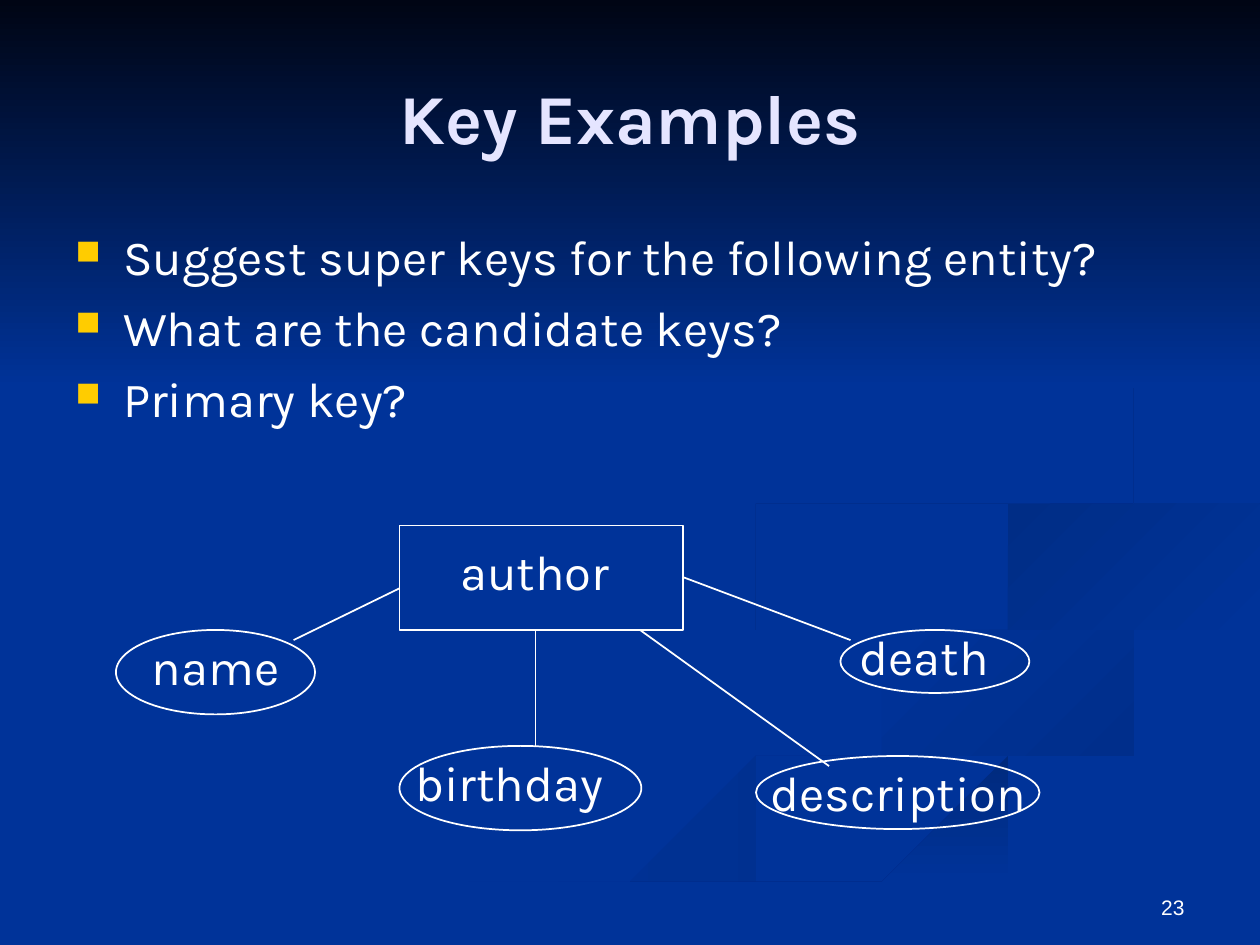
"""Build the Key Examples slide with its entity diagram."""
from typing import NamedTuple

from lxml import etree
from pptx import Presentation
from pptx.dml.color import RGBColor
from pptx.enum.shapes import MSO_CONNECTOR, MSO_SHAPE
from pptx.enum.text import MSO_ANCHOR, PP_ALIGN
from pptx.oxml.ns import qn
from pptx.util import Inches, Pt

RECTANGLE, ELLIPSE = MSO_SHAPE.RECTANGLE, MSO_SHAPE.OVAL
STRAIGHT = MSO_CONNECTOR.STRAIGHT
LEFT, CENTER, RIGHT = PP_ALIGN.LEFT, PP_ALIGN.CENTER, PP_ALIGN.RIGHT
TOP, MIDDLE, BOTTOM = MSO_ANCHOR.TOP, MSO_ANCHOR.MIDDLE, MSO_ANCHOR.BOTTOM
BLUE, WHITE, LAVENDER, GOLD = "003399", "FFFFFF", "E5E5FF", "FFCC00"
CURVE_STEPS = 6


class Box(NamedTuple):
    """Left, top, width and height in inches."""
    left: float
    top: float
    width: float
    height: float


class Node(NamedTuple):
    """An outlined diagram node and the box of its label."""
    label: str
    kind: MSO_SHAPE
    outline: Box
    label_box: Box


class Link(NamedTuple):
    """A line between two points in inches."""
    start: tuple[float, float]
    end: tuple[float, float]


class Ribbon(NamedTuple):
    """Gradient and the two edges of a ribbon, both from its first tip."""
    first: str
    last: str
    angle: int
    outer: list[tuple[float, float]]
    inner: list[tuple[float, float]]


RIBBONS = [
    Ribbon(BLUE, "002E8B", 0,
           [(5.75, 4.59), (6.14, 4.96), (7.31, 5.33), (8, 5.81), (6.76, 6.34),
            (4.99, 6.87), (3.61, 7.49)],
           [(5.75, 4.59), (5.81, 4.83), (6.97, 5.25), (7.86, 5.66), (6.84, 6.13),
            (4.58, 6.74), (3, 7.49)]),
    Ribbon(BLUE, "002E8B", 45,
           [(7.24, 4.64), (7.58, 4.98), (8.88, 5.35), (9.43, 5.7), (8.94, 6.05)],
           [(7.24, 4.64), (7.46, 5), (8.54, 5.39), (9.18, 5.81), (8.94, 6.05)]),
    Ribbon("002A7D", BLUE, 90,
           [(9.98, 5.81), (9.36, 6.02), (7.64, 6.47), (6.3, 6.93), (5.03, 7.49)],
           [(9.98, 6.09), (8.61, 6.4), (7.22, 6.82), (6.14, 7.26), (5.71, 7.49)]),
    Ribbon("002D86", BLUE, 45,
           [(9.98, 4.02), (8.65, 4.24), (7.81, 4.6), (8.26, 4.96)],
           [(9.98, 4.2), (8.78, 4.39), (8.05, 4.72), (8.26, 4.96)]),
    Ribbon("002B82", BLUE, 45,
           [(7.62, 2.33), (8.54, 2.83), (8.94, 3.44), (8.41, 3.96), (6.83, 4.3),
            (5.94, 4.65), (6.22, 5)],
           [(7.62, 2.33), (8.46, 2.79), (8.89, 3.35), (8.3, 3.82), (6.49, 4.2),
            (5.77, 4.62), (6.22, 5)]),
]
QUESTIONS = ["Suggest super keys for the following entity?",
             "What are the candidate keys?", "Primary key?"]
NODES = [
    Node("author", RECTANGLE, Box(3.17, 4.17, 2.25, 0.83), Box(3.33, 4.25, 1.83, 0.57)),
    Node("name", ELLIPSE, Box(0.92, 5, 1.58, 0.67), Box(1, 5, 1.42, 0.57)),
    Node("birthday", ELLIPSE, Box(3.17, 5.92, 1.92, 0.67), Box(3.08, 5.92, 1.92, 0.57)),
    Node("death", ELLIPSE, Box(6.67, 5, 1.5, 0.5), Box(6.25, 4.92, 2.17, 0.57)),
    Node("description", ELLIPSE, Box(6, 6, 2.25, 0.58), Box(5.67, 6, 2.92, 0.57)),
]
LINKS = [Link((3.17, 4.67), (2.33, 5.08)), Link((4.25, 5), (4.25, 5.92)),
         Link((5.08, 5), (6.58, 6.08)), Link((5.42, 4.58), (6.75, 5.08))]


def color(value: str) -> RGBColor:
    """Turn a hex string into a colour."""
    return RGBColor.from_string(value)


def place(box: Box) -> list[int]:
    """Convert a box to slide lengths."""
    return [Inches(length) for length in box]


def fill_gradient(shape, first: str, last: str, angle: int) -> None:
    """Fill a borderless shape with a two-stop gradient, angle clockwise."""
    shape.shadow.inherit = False
    shape.line.fill.background()
    shape.fill.gradient()
    shape.fill.gradient_angle = -angle % 360
    for stop, value in zip(shape.fill.gradient_stops, (first, last)):
        stop.color.rgb = color(value)


def blend(a: float, b: float, c: float, d: float, t: float) -> float:
    """Interpolate from b to c on a Catmull-Rom curve."""
    return b + t / 2 * (c - a + t * (2 * a - 5 * b + 4 * c - d
                                    + t * (3 * (b - c) + d - a)))


def smooth(edge: list[tuple[float, float]]) -> list[tuple[float, float]]:
    """Return a smooth curve through the points of an edge."""
    padded = [edge[0], *edge, edge[-1]]
    curve = [tuple(blend(*axis, step / CURVE_STEPS)
                   for axis in zip(*padded[index:index + 4]))
             for index in range(len(edge) - 1) for step in range(CURVE_STEPS)]
    return [*curve, edge[-1]]


def add_ribbon(slide, ribbon: Ribbon) -> None:
    """Draw one background ribbon."""
    outline = smooth(ribbon.outer) + smooth(ribbon.inner)[::-1]
    builder = slide.shapes.build_freeform(*outline[0], scale=Inches(1))
    builder.add_line_segments(outline[1:], close=True)
    fill_gradient(builder.convert_to_shape(), ribbon.first, ribbon.last, ribbon.angle)


def add_bullet(paragraph) -> None:
    """Give a paragraph a small gold square and a hanging indent."""
    properties = paragraph._p.get_or_add_pPr()
    properties.set("marL", str(Inches(0.38)))
    properties.set("indent", str(Inches(-0.38)))
    bullet_color = etree.SubElement(properties, qn("a:buClr"))
    etree.SubElement(bullet_color, qn("a:srgbClr"), val=GOLD)
    etree.SubElement(properties, qn("a:buSzPct"), val="70000")
    etree.SubElement(properties, qn("a:buChar"), char="■")


def add_text(slide, lines: list[str], box: Box, *, size: float = 28,
             font: str = "Karla", fill: str = WHITE, bold: bool = False,
             align: PP_ALIGN = CENTER, anchor: MSO_ANCHOR = TOP,
             bullets: bool = False, space_before: float = 0) -> None:
    """Add a text box with one paragraph per line."""
    frame = slide.shapes.add_textbox(*place(box)).text_frame
    frame.word_wrap = True
    frame.vertical_anchor = anchor
    for index, line in enumerate(lines):
        paragraph = frame.add_paragraph() if index else frame.paragraphs[0]
        paragraph.text = line
        paragraph.alignment = align
        if index:
            paragraph.space_before = Pt(space_before)
        if bullets:
            add_bullet(paragraph)
        paragraph.font.size = Pt(size)
        paragraph.font.name = font
        paragraph.font.bold = bold
        paragraph.font.color.rgb = color(fill)


def set_line(shape) -> None:
    """Give a shape or connector the thin white diagram line."""
    shape.line.color.rgb = color(WHITE)
    shape.line.width = Pt(1)


def add_node(slide, node: Node) -> None:
    """Draw a node label and its outline."""
    add_text(slide, [node.label], node.label_box)
    shape = slide.shapes.add_shape(node.kind, *place(node.outline))
    shape.shadow.inherit = False
    shape.fill.background()
    set_line(shape)


def add_link(slide, link: Link) -> None:
    """Draw a line joining the entity to an attribute."""
    ends = [Inches(length) for length in link.start + link.end]
    connector = slide.shapes.add_connector(STRAIGHT, *ends)
    set_line(connector)
    etree.SubElement(connector._element.spPr, qn("a:effectLst"))


def main() -> None:
    """Build and save the presentation."""
    presentation = Presentation()
    presentation.slide_width, presentation.slide_height = Inches(10), Inches(7.5)
    slide = presentation.slides.add_slide(presentation.slide_layouts[6])
    slide.background.fill.solid()
    slide.background.fill.fore_color.rgb = color(BLUE)
    for ribbon in RIBBONS:
        add_ribbon(slide, ribbon)
    sky = slide.shapes.add_shape(RECTANGLE, *place(Box(0, 0, 10, 3.08)))
    fill_gradient(sky, "000514", BLUE, 90)
    add_text(slide, ["23"], Box(7.17, 6.83, 2.33, 0.52), size=12, font="Arial",
             align=RIGHT, anchor=BOTTOM)
    add_text(slide, ["Key Examples"], Box(0.5, 0.3, 9, 1.25), size=40,
             fill=LAVENDER, bold=True, anchor=MIDDLE)
    add_text(slide, QUESTIONS, Box(0.5, 1.75, 9, 4.95), align=LEFT,
             bullets=True, space_before=7)
    for node in NODES:
        add_node(slide, node)
    for link in LINKS:
        add_link(slide, link)
    presentation.save("out.pptx")


if __name__ == "__main__":
    main()
